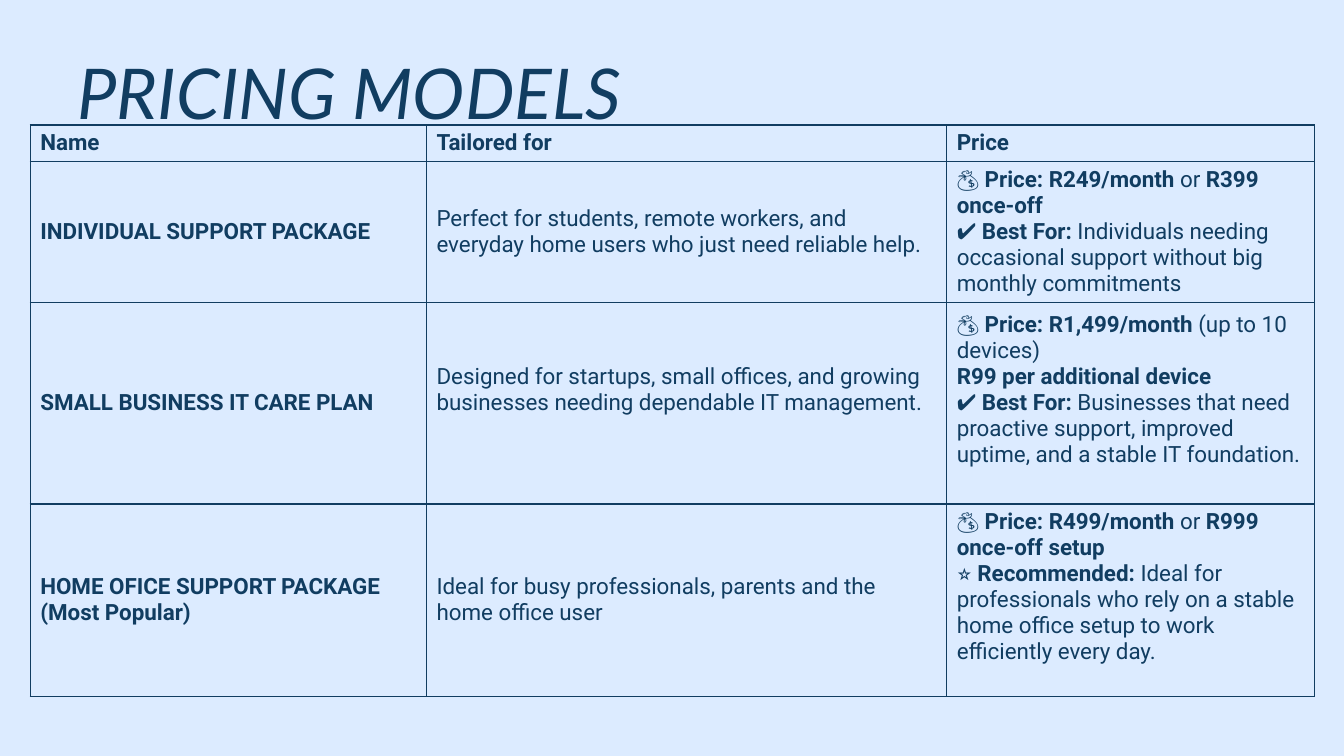
from lxml import etree
from pptx import Presentation
from pptx.dml.color import RGBColor
from pptx.enum import text
from pptx.oxml import ns
from pptx.util import Inches, Pt

COLORS = {"background": "DCEBFF", "ink": "113D61"}
TITLE = "PRICING MODELS"
TITLE_BOX = (0.67, 0.6, 11.99, 1.24)
TABLE_LEFT, TABLE_TOP = 0.3, 1.24
COLUMN_WIDTHS = (3.93, 5.16, 3.65)
ROW_HEIGHTS = (0.36, 1.4, 2, 1.91)
# Each cell is a list of lines; ** switches bold on and off.
ROWS = [
    (["**Name**"], ["**Tailored for**"], ["**Price**"]),
    (["**INDIVIDUAL SUPPORT PACKAGE**"],
     ["Perfect for students, remote workers, and everyday home users who just need reliable help."],
     ["**💰 Price: R249/month** or **R399 once-off**",
      "**✔ Best For:** Individuals needing occasional support without big monthly commitments"]),
    (["**SMALL BUSINESS IT CARE PLAN**"],
     ["Designed for startups, small offices, and growing businesses needing dependable IT management."],
     ["**💰 Price: R1,499/month** (up to 10 devices)",
      "**R99 per additional device**",
      "**✔ Best For:** Businesses that need proactive support, improved uptime, and a stable IT foundation."]),
    (["**HOME OFICE SUPPORT PACKAGE (Most Popular)**"],
     ["Ideal for busy professionals, parents and the home office user"],
     ["**💰 Price: R499/month** or **R999 once-off setup**",
      "**⭐ Recommended:** Ideal for professionals who rely on a stable home office setup to work efficiently every day."]),
]
RAISED_CELLS = {(2, 1), (2, 2), (3, 2)}  # text sits half a line above the middle
RAISED_MARGIN = 0.31
TITLE_FONT = {"name": "Lato", "size": Pt(50), "italic": True, "bold": False}
CELL_FONT = {"name": "Roboto", "size": Pt(16)}


def rgb(name):
    return RGBColor.from_string(COLORS[name])


def set_font(font, **values):
    for key, value in values.items():
        setattr(font, key, value)
    font.color.rgb = rgb("ink")


def add_borders(cell):
    """Put the four border lines ahead of the fill, as the schema requires."""
    tcPr = cell._tc.get_or_add_tcPr()
    for i, side in enumerate(("lnL", "lnR", "lnT", "lnB")):
        ln = etree.Element(ns.qn(f"a:{side}"), w=str(Pt(1)))
        fill = etree.SubElement(ln, ns.qn("a:solidFill"))
        etree.SubElement(fill, ns.qn("a:srgbClr"), val=COLORS["ink"])
        tcPr.insert(i, ln)


def fill_cell(cell, lines):
    cell.fill.background()
    cell.vertical_anchor = text.MSO_ANCHOR.MIDDLE
    tf = cell.text_frame
    for i, line in enumerate(lines):
        p = tf.paragraphs[0] if i == 0 else tf.add_paragraph()
        for j, part in enumerate(line.split("**")):
            if part:
                r = p.add_run()
                r.text = part
                set_font(r.font, **CELL_FONT, bold=j % 2 == 1)
    add_borders(cell)


def add_title(slide):
    sp = slide.shapes.title
    sp.left, sp.top, sp.width, sp.height = map(Inches, TITLE_BOX)
    tf = sp.text_frame
    tf.text = TITLE
    tf.vertical_anchor = text.MSO_ANCHOR.TOP
    tf.auto_size = text.MSO_AUTO_SIZE.NONE
    p = tf.paragraphs[0]
    p.alignment = text.PP_ALIGN.LEFT
    p.line_spacing = 0.8
    set_font(p.runs[0].font, **TITLE_FONT)


def add_pricing_table(slide):
    box = (TABLE_LEFT, TABLE_TOP, sum(COLUMN_WIDTHS), sum(ROW_HEIGHTS))
    table = slide.shapes.add_table(len(ROWS), len(COLUMN_WIDTHS), *map(Inches, box)).table
    table.first_row = table.horz_banding = False
    for column, width in zip(table.columns, COLUMN_WIDTHS):
        column.width = Inches(width)
    for i, (height, row) in enumerate(zip(ROW_HEIGHTS, ROWS)):
        table.rows[i].height = Inches(height)
        for j, lines in enumerate(row):
            cell = table.cell(i, j)
            fill_cell(cell, lines)
            if (i, j) in RAISED_CELLS:
                cell.margin_bottom = Inches(RAISED_MARGIN)


def main():
    prs = Presentation()
    prs.slide_width, prs.slide_height = Inches(13.33), Inches(7.5)
    slide = prs.slides.add_slide(prs.slide_layouts.get_by_name("Title Only"))
    slide.background.fill.solid()
    slide.background.fill.fore_color.rgb = rgb("background")
    add_title(slide)
    add_pricing_table(slide)
    prs.save("out.pptx")


if __name__ == "__main__":
    main()
